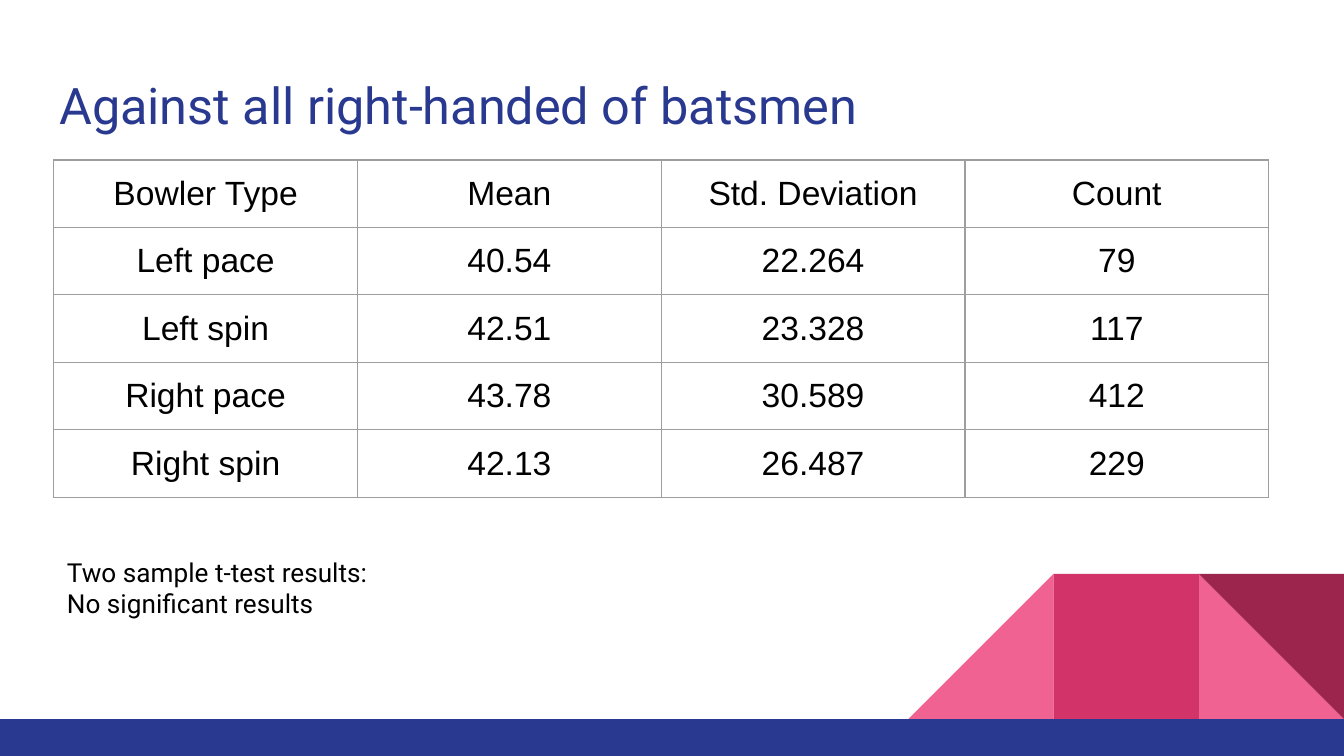
from lxml.etree import SubElement
from pptx import Presentation
from pptx.dml.color import RGBColor
from pptx.enum.shapes import MSO_SHAPE
from pptx.enum.text import MSO_ANCHOR, PP_ALIGN
from pptx.oxml.ns import qn
from pptx.util import Inches, Pt

WIDTH = 10
HEIGHT = WIDTH * 9 / 16
NAVY, PINK, ROSE, WINE = "2A3990", "F06292", "D23369", "9C254D"
BLACK, WHITE, GREY = "000000", "FFFFFF", "9E9E9E"
ROWS = [
    ["Bowler Type", "Mean", "Std. Deviation", "Count"],
    ["Left pace", "40.54", "22.264", "79"],
    ["Left spin", "42.51", "23.328", "117"],
    ["Right pace", "43.78", "30.589", "412"],
    ["Right spin", "42.13", "26.487", "229"],
]


def color(value):
    return RGBColor.from_string(value)


def format_paragraph(paragraph, font_name, size, font_color, alignment=PP_ALIGN.LEFT):
    paragraph.alignment = alignment
    paragraph.font.name = font_name
    paragraph.font.size = Pt(size)
    paragraph.font.color.rgb = color(font_color)


def set_margins(target):
    target.margin_left = target.margin_right = Inches(0.1)
    target.margin_top = target.margin_bottom = Inches(0.1)


def add_block(slide, kind, left, top, width, height, fill):
    shape = slide.shapes.add_shape(
        kind, Inches(left), Inches(top), Inches(width), Inches(height))
    shape.shadow.inherit = False
    shape.fill.solid()
    shape.fill.fore_color.rgb = color(fill)
    shape.line.fill.background()
    return shape


def add_decoration(slide, left, top, size):
    triangle, square = MSO_SHAPE.RIGHT_TRIANGLE, MSO_SHAPE.RECTANGLE
    add_block(slide, triangle, left + 2 * size, top, size, size, PINK)
    slope = add_block(slide, triangle, left, top, size, size, PINK)
    slope._element.spPr.find(qn("a:xfrm")).set("flipH", "1")
    add_block(slide, square, left + size, top, size, size, ROSE)
    corner = add_block(slide, triangle, left + 2 * size, top, size, size, WINE)
    corner.rotation = 180
    bar_top = top + size
    add_block(slide, square, 0, bar_top, WIDTH, HEIGHT - bar_top, NAVY)


def add_title(slide, left, top, width, height, text):
    title = slide.shapes.title
    title.left, title.top = Inches(left), Inches(top)
    title.width, title.height = Inches(width), Inches(height)
    frame = title.text_frame
    frame.text = text
    frame.vertical_anchor = MSO_ANCHOR.MIDDLE
    set_margins(frame)
    format_paragraph(frame.paragraphs[0], "Roboto", 27, NAVY)


def add_borders(cell):
    properties = cell._tc.get_or_add_tcPr()
    for position, side in enumerate(("lnL", "lnR", "lnT", "lnB")):
        line = SubElement(properties, qn(f"a:{side}"), w=str(Pt(0.75)))
        fill = SubElement(line, qn("a:solidFill"))
        SubElement(fill, qn("a:srgbClr"), val=GREY)
        properties.insert(position, line)


def add_results_table(slide, left, top, width, height, rows):
    table = slide.shapes.add_table(
        len(rows), len(rows[0]),
        Inches(left), Inches(top), Inches(width), Inches(height)).table
    for row_index, row in enumerate(rows):
        for column_index, text in enumerate(row):
            cell = table.cell(row_index, column_index)
            cell.text = text
            cell.fill.solid()
            cell.fill.fore_color.rgb = color(WHITE)
            cell.vertical_anchor = MSO_ANCHOR.MIDDLE
            set_margins(cell)
            add_borders(cell)
            format_paragraph(cell.text_frame.paragraphs[0],
                             "Arial", 18, BLACK, PP_ALIGN.CENTER)


def add_test_results(slide, left, top, width, height, lines):
    frame = slide.shapes.add_textbox(
        Inches(left), Inches(top), Inches(width), Inches(height)).text_frame
    frame.word_wrap = True
    set_margins(frame)
    frame.text = "\n".join(lines)
    for paragraph in frame.paragraphs:
        format_paragraph(paragraph, "Roboto", 14, BLACK)


def main():
    presentation = Presentation()
    presentation.slide_width = Inches(WIDTH)
    presentation.slide_height = Inches(HEIGHT)
    slide = presentation.slides.add_slide(presentation.slide_layouts[5])
    add_decoration(slide, 6.76, 4.27, 1.08)
    add_title(slide, 0.34, 0.45, 9.32, 0.66, "Against all right-handed of batsmen")
    add_results_table(slide, 0.4, 1.19, 9.04, 2.51, ROWS)
    add_test_results(slide, 0.4, 4.04, 6.33, 0.67,
                     ["Two sample t-test results:", "No significant results"])
    presentation.save("out.pptx")


if __name__ == "__main__":
    main()
